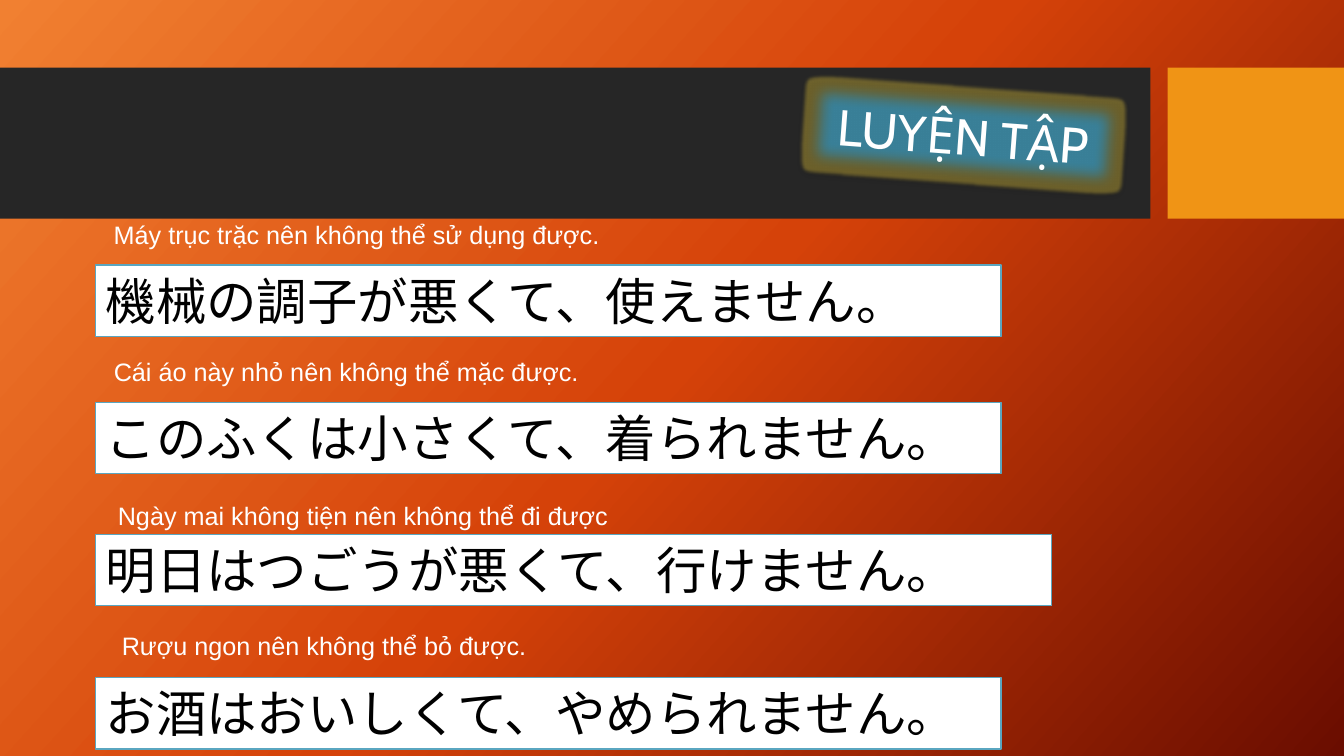
from copy import deepcopy
from dataclasses import dataclass

from pptx import Presentation
from pptx.dml.color import RGBColor
from pptx.enum.shapes import MSO_SHAPE
from pptx.enum.text import MSO_ANCHOR, MSO_AUTO_SIZE, PP_ALIGN
from pptx.oxml import parse_xml
from pptx.oxml.ns import nsdecls
from pptx.util import Emu, Pt

PX = 9144
COLORS = {
    "bar": "262626", "accent": "F09415", "white": "FFFFFF", "black": "000000",
    "border": "5AA6C0", "badge": "3A8199", "glow": "DFC13C",
}
BACKGROUND = [(0, "F18031"), (0.5, "D54209"), (1, "6A0D00")]


@dataclass
class Exercise:
    prompt: str
    prompt_left: int
    prompt_top: int
    prompt_width: int
    answer: str
    answer_top: int
    answer_width: int = 898


EXERCISES = [
    Exercise("Máy trục trặc nên không thể sử dụng được.", 103, 213, 517,
             "機械の調子が悪くて、使えません。", 263),
    Exercise("Cái áo này nhỏ nên không thể mặc được.", 103, 349, 608,
             "このふくは小さくて、着られません。", 399),
    Exercise("Ngày mai không tiện nên không thể đi được", 107, 491, 689,
             "明日はつごうが悪くて、行けません。", 530, 948),
    Exercise("Rượu ngon nên không thể bỏ được.", 111, 620, 586,
             "お酒はおいしくて、やめられません。", 672),
]


def px(*values: int) -> list[Emu]:
    return [Emu(v * PX) for v in values]


def rgb(name: str) -> RGBColor:
    return RGBColor.from_string(COLORS[name])


def set_background(slide) -> None:
    fill = slide.background.fill
    fill.gradient()
    fill.gradient_angle = 318
    first = fill.gradient_stops[0]._gs
    first.addnext(deepcopy(first))
    for stop, (position, color) in zip(fill.gradient_stops, BACKGROUND):
        stop.position = position
        stop.color.rgb = RGBColor.from_string(color)


def add_rect(slide, left: int, top: int, width: int, height: int, color: str):
    sp = slide.shapes.add_shape(MSO_SHAPE.RECTANGLE, *px(left, top, width, height))
    sp.shadow.inherit = False
    sp.fill.solid()
    sp.fill.fore_color.rgb = rgb(color)
    sp.line.fill.background()
    return sp


def set_text(sp, text: str, size: int, color: str, font: str = "Arial",
             align: PP_ALIGN = PP_ALIGN.LEFT) -> None:
    tf = sp.text_frame
    tf.word_wrap = True
    tf.text = text
    p = tf.paragraphs[0]
    p.alignment = align
    r = p.runs[0]
    r.font.size = Pt(size)
    r.font.name = font
    r.font.color.rgb = rgb(color)


def add_exercise(slide, item: Exercise) -> None:
    prompt = slide.shapes.add_textbox(
        *px(item.prompt_left, item.prompt_top, item.prompt_width, 40))
    set_text(prompt, item.prompt, 18, "white")
    answer = add_rect(slide, 95, item.answer_top, item.answer_width, 71, "white")
    answer.line.color.rgb = rgb("border")
    answer.line.width = Pt(1)
    set_text(answer, item.answer, 36, "black")
    for sp in (prompt, answer):
        sp.text_frame.vertical_anchor = MSO_ANCHOR.TOP
        sp.text_frame.auto_size = MSO_AUTO_SIZE.SHAPE_TO_FIT_TEXT


def format_title(slide, text: str) -> None:
    sp = slide.shapes.title
    sp.left, sp.top, sp.width, sp.height = px(799, 89, 313, 90)
    sp.rotation = 4.3
    spPr = sp._element.spPr
    spPr.append(parse_xml(
        f'<a:prstGeom {nsdecls("a")} prst="roundRect"><a:avLst/></a:prstGeom>'))
    sp.fill.solid()
    sp.fill.fore_color.rgb = rgb("badge")
    spPr.append(parse_xml(
        f'<a:effectLst {nsdecls("a")}>'
        f'<a:glow rad="{Pt(5)}"><a:srgbClr val="{COLORS["glow"]}">'
        '<a:alpha val="40000"/></a:srgbClr></a:glow>'
        f'<a:outerShdw blurRad="{Pt(3.1)}" dist="{Pt(1.8)}" dir="5400000">'
        f'<a:srgbClr val="{COLORS["black"]}"><a:alpha val="35000"/></a:srgbClr>'
        f'</a:outerShdw><a:softEdge rad="{Pt(10)}"/></a:effectLst>'))
    set_text(sp, text, 36, "white", "Cabin", PP_ALIGN.CENTER)
    sp.text_frame.vertical_anchor = MSO_ANCHOR.MIDDLE
    sp.text_frame.auto_size = MSO_AUTO_SIZE.NONE
    slide.shapes._spTree.append(sp._element)


def main() -> None:
    prs = Presentation()
    prs.slide_width, prs.slide_height = px(1333, 750)
    slide = prs.slides.add_slide(prs.slide_layouts[5])
    set_background(slide)
    add_rect(slide, 0, 67, 1141, 150, "bar")
    add_rect(slide, 1158, 67, 175, 150, "accent")
    for item in EXERCISES:
        add_exercise(slide, item)
    format_title(slide, "LUYỆN TẬP")
    prs.save("out.pptx")


if __name__ == "__main__":
    main()
